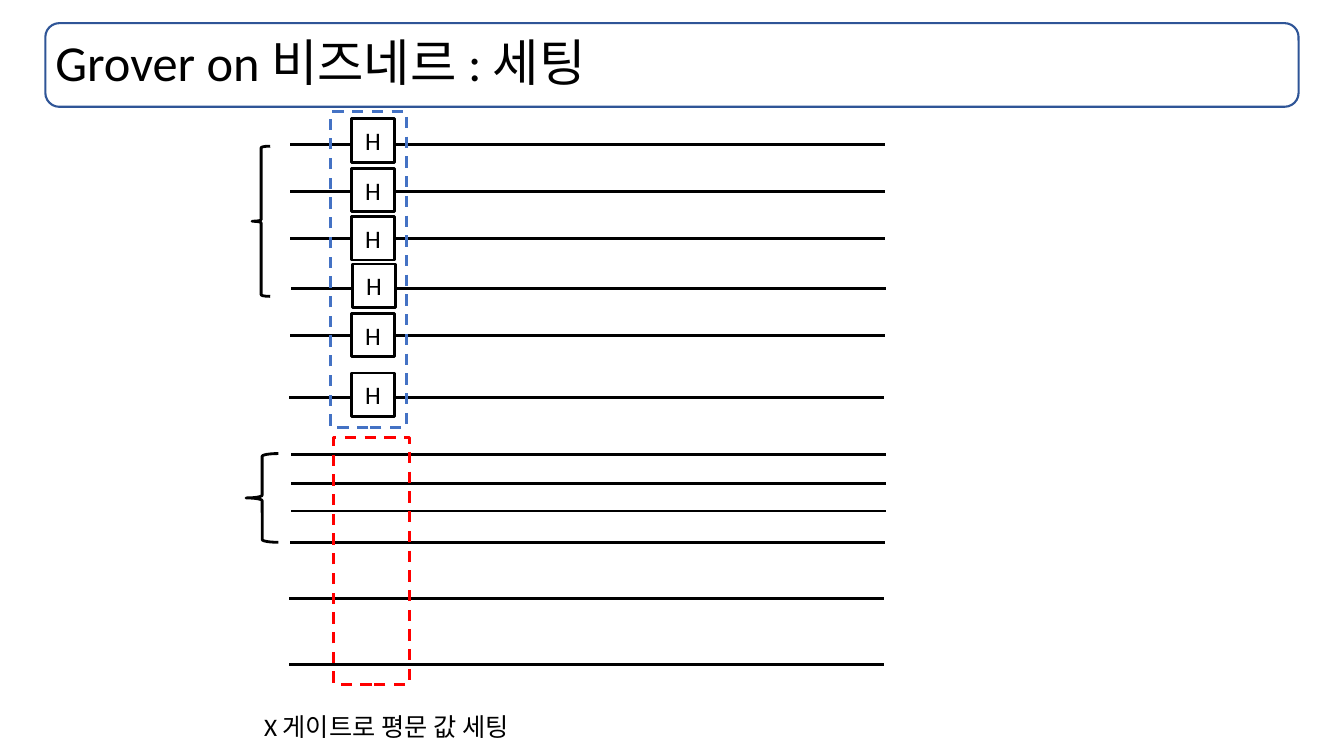
from lxml import etree
from pptx import Presentation
from pptx.dml.color import RGBColor
from pptx.enum.dml import MSO_LINE
from pptx.enum.shapes import MSO_CONNECTOR, MSO_SHAPE
from pptx.enum.text import MSO_ANCHOR, MSO_AUTO_SIZE, PP_ALIGN
from pptx.oxml.ns import qn
from pptx.util import Inches, Pt

BLACK = RGBColor(0x00, 0x00, 0x00)
WHITE = RGBColor(0xFF, 0xFF, 0xFF)
NAVY = RGBColor(0x2F, 0x55, 0x97)
BLUE = RGBColor(0x44, 0x72, 0xC4)
RED = RGBColor(0xFF, 0x00, 0x00)
FONT = "Calibri"

TITLE_AREA = (0.45, 0.23, 12.43, 0.83)
WIRE_LENGTH = 5.9
WIRES = [
    (2.88, 1.43), (2.88, 1.9), (2.88, 2.37), (2.89, 2.86), (2.88, 3.33), (2.87, 3.94),
    (2.89, 4.51), (2.89, 4.8), (2.89, 5.07), (2.88, 5.38), (2.87, 5.94), (2.87, 6.59),
]
HADAMARD_GATES = [
    (3.49, 1.18), (3.49, 1.67), (3.49, 2.15), (3.5, 2.62), (3.49, 3.11), (3.49, 3.7),
]


def style_text(paragraph, size, align=PP_ALIGN.LEFT):
    paragraph.alignment = align
    paragraph.font.name = FONT
    paragraph.font.size = Pt(size)
    paragraph.font.color.rgb = BLACK


def add_outline(slide, kind, area, color, weight=2, dash=None, fill=None):
    outline = slide.shapes.add_shape(kind, *map(Inches, area))
    outline.shadow.inherit = False
    if fill is None:
        outline.fill.background()
    else:
        outline.fill.solid()
        outline.fill.fore_color.rgb = fill
    outline.line.color.rgb = color
    outline.line.width = Pt(weight)
    if dash is not None:
        outline.line.dash_style = dash
    return outline


def add_wire(slide, left, y):
    wire = slide.shapes.add_connector(
        MSO_CONNECTOR.STRAIGHT, Inches(left), Inches(y), Inches(left + WIRE_LENGTH), Inches(y)
    )
    wire.line.color.rgb = BLACK
    wire.line.width = Pt(2)
    etree.SubElement(wire._element.spPr, qn("a:effectLst"))


def add_gate(slide, left, top):
    gate = add_outline(slide, MSO_SHAPE.RECTANGLE, (left, top, 0.42, 0.43), BLACK, fill=WHITE)
    label = gate.text_frame
    label.word_wrap = False
    label.vertical_anchor = MSO_ANCHOR.MIDDLE
    label.text = "H"
    style_text(label.paragraphs[0], 18, PP_ALIGN.CENTER)


def add_caption(slide, text, area):
    caption = slide.shapes.add_textbox(*map(Inches, area)).text_frame
    caption.word_wrap = False
    caption.auto_size = MSO_AUTO_SIZE.SHAPE_TO_FIT_TEXT
    caption.text = text
    style_text(caption.paragraphs[0], 18)


def set_title(slide, text):
    title = slide.shapes.title
    title.left, title.top, title.width, title.height = map(Inches, TITLE_AREA)
    frame = title.text_frame
    frame.text = text
    frame.word_wrap = True
    frame.auto_size = MSO_AUTO_SIZE.NONE
    frame.vertical_anchor = MSO_ANCHOR.MIDDLE
    frame.paragraphs[0].line_spacing = 0.9
    style_text(frame.paragraphs[0], 36)


def main():
    deck = Presentation()
    deck.slide_width, deck.slide_height = Inches(13.33), Inches(7.5)
    slide = deck.slides.add_slide(deck.slide_layouts[5])

    add_outline(slide, MSO_SHAPE.ROUNDED_RECTANGLE, TITLE_AREA, NAVY, weight=1.5)
    set_title(slide, "Grover on 비즈네르 : 세팅")

    for left, y in WIRES:
        add_wire(slide, left, y)
    for register in [(2.5, 1.45, 0.18, 1.49), (2.44, 4.5, 0.32, 0.88)]:
        add_outline(slide, MSO_SHAPE.LEFT_BRACE, register, BLACK)
    for left, top in HADAMARD_GATES:
        add_gate(slide, left, top)
    for stage, color in [((3.28, 1.11, 0.75, 3.13), BLUE), ((3.31, 4.34, 0.75, 2.45), RED)]:
        add_outline(slide, MSO_SHAPE.RECTANGLE, stage, color, dash=MSO_LINE.DASH)

    add_caption(slide, "X 게이트로 평문 값 세팅", (2.52, 7.01, 2.89, 0.4))
    deck.save("out.pptx")


if __name__ == "__main__":
    main()
